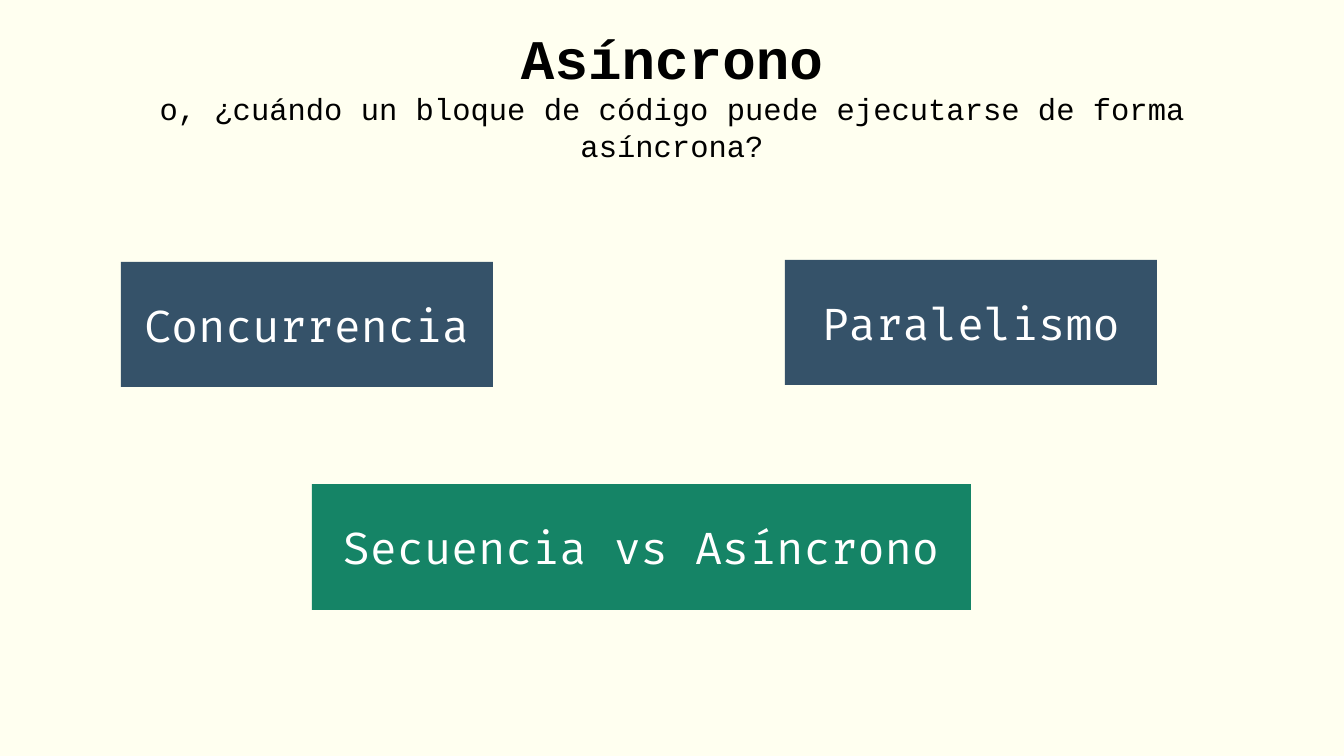
from dataclasses import dataclass

from pptx import Presentation
from pptx.dml.color import RGBColor
from pptx.enum.shapes import MSO_SHAPE
from pptx.enum.text import MSO_ANCHOR, MSO_AUTO_SIZE, PP_ALIGN
from pptx.util import Pt

RECT = MSO_SHAPE.RECTANGLE
MIDDLE = MSO_ANCHOR.MIDDLE
CENTER = PP_ALIGN.CENTER
NO_FIT = MSO_AUTO_SIZE.NONE
EMU_PER_PX = 914400 / 122
TITLE_ONLY = 5


@dataclass(frozen=True)
class Theme:
    """Colours, fonts and type sizes of the slide."""
    paper: str = "FFFFF0"
    ink: str = "000000"
    white: str = "FFFFFF"
    blue: str = "355269"
    green: str = "158466"
    title_font: str = "Courier New"
    box_font: str = "Fira Code"
    title_size: int = 33
    subtitle_size: int = 18
    box_size: int = 26


THEME = Theme()


def px(n):
    """Turn pixels into EMU."""
    return round(n * EMU_PER_PX)


def add_run(p, text, font, size, color, bold=False):
    """Append one formatted run to a paragraph."""
    r = p.add_run()
    r.text = text
    r.font.name = font
    r.font.size = Pt(size)
    r.font.bold = bold
    r.font.color.rgb = RGBColor.from_string(color)


def center_text(tf):
    """Centre a text frame both ways and return its first paragraph."""
    tf.word_wrap = True
    tf.auto_size = NO_FIT
    tf.vertical_anchor = MIDDLE
    p = tf.paragraphs[0]
    p.alignment = CENTER
    return p


def place_title(s, box, title, subtitle):
    """Fill the title placeholder with a bold title over a subtitle."""
    sp = s.shapes.title
    sp.left, sp.top, sp.width, sp.height = map(px, box)
    tf = sp.text_frame
    tf.margin_left = tf.margin_right = tf.margin_top = tf.margin_bottom = 0
    p = center_text(tf)
    add_run(p, title, THEME.title_font, THEME.title_size, THEME.ink, bold=True)
    p.add_line_break()
    add_run(p, subtitle, THEME.title_font, THEME.subtitle_size, THEME.ink)


def add_concept(s, box, text, fill):
    """Add a filled rectangle naming one concept."""
    sp = s.shapes.add_shape(RECT, *map(px, box))
    sp.shadow.inherit = False
    sp.fill.solid()
    sp.fill.fore_color.rgb = RGBColor.from_string(fill)
    sp.line.fill.background()
    p = center_text(sp.text_frame)
    add_run(p, text, THEME.box_font, THEME.box_size, THEME.white)


def build_slide(prs):
    """Build the slide with its title and three concept boxes."""
    s = prs.slides.add_slide(prs.slide_layouts[TITLE_ONLY])
    s.background.fill.solid()
    s.background.fill.fore_color.rgb = RGBColor.from_string(THEME.paper)
    place_title(s, (67, 26, 1210, 135), "Asíncrono",
                "o, ¿cuándo un bloque de código puede ejecutarse de forma asíncrona?")
    concepts = [
        ((121, 262, 372, 125), "Concurrencia", THEME.blue),
        ((785, 260, 372, 125), "Paralelismo", THEME.blue),
        ((312, 484, 659, 126), "Secuencia vs Asíncrono", THEME.green),
    ]
    for box, text, fill in concepts:
        add_concept(s, box, text, fill)


prs = Presentation()
prs.slide_width, prs.slide_height = px(1344), px(756)
build_slide(prs)
prs.save("out.pptx")
